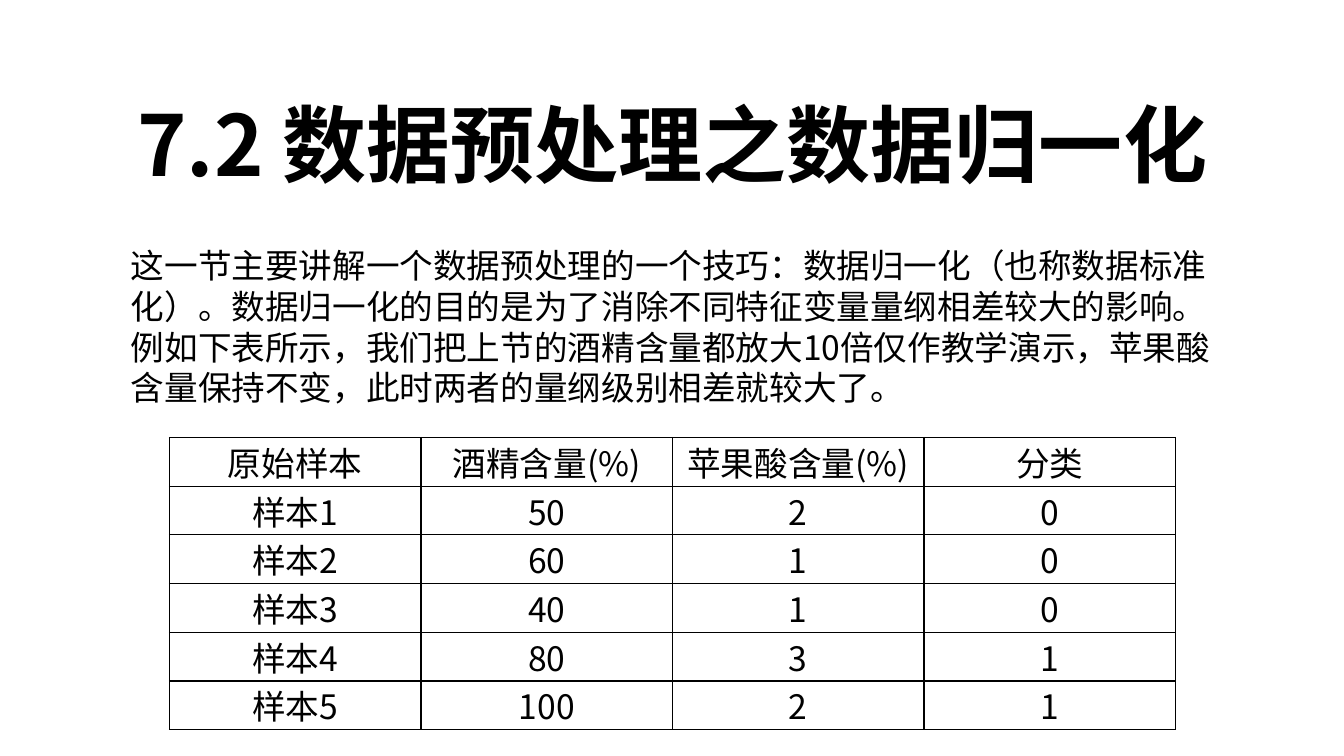
from dataclasses import dataclass

from lxml import etree
from pptx import Presentation
from pptx.dml.color import RGBColor
from pptx.enum import text as t
from pptx.oxml import ns
from pptx.util import Inches, Pt

BLACK = RGBColor(0x00, 0x00, 0x00)
FONT = "Noto Sans CJK SC"
ROWS = [
    ("原始样本", "酒精含量(%)", "苹果酸含量(%)", "分类"),
    ("样本1", "50", "2", "0"),
    ("样本2", "60", "1", "0"),
    ("样本3", "40", "1", "0"),
    ("样本4", "80", "3", "1"),
    ("样本5", "100", "2", "1"),
]
BODY = (
    "这一节主要讲解一个数据预处理的一个技巧：数据归一化（也称数据标准化）。"
    "数据归一化的目的是为了消除不同特征变量量纲相差较大的影响。"
    "例如下表所示，我们把上节的酒精含量都放大10倍仅作教学演示，"
    "苹果酸含量保持不变，此时两者的量纲级别相差就较大了。"
)


@dataclass
class Box:
    left: float
    top: float
    width: float
    height: float

    def place(self) -> list:
        return [Inches(n) for n in (self.left, self.top, self.width, self.height)]


@dataclass
class Style:
    size: int
    pitch: int
    align: t.PP_ALIGN
    bold: bool = False


HEAD = Style(60, 73, t.PP_ALIGN.CENTER, True)
PROSE = Style(24, 29, t.PP_ALIGN.LEFT)
CELL = Style(24, 29, t.PP_ALIGN.CENTER)


def apply(item, values: dict) -> None:
    for name, value in values.items():
        setattr(item, name, value)


def write(frame, words: str, style: Style) -> None:
    para = frame.paragraphs[0]
    apply(para, {"alignment": style.align, "line_spacing": Pt(style.pitch)})
    run = para.add_run()
    run.text = words
    apply(run.font, {"size": Pt(style.size), "bold": style.bold, "name": FONT})
    run.font.color.rgb = BLACK
    east = etree.SubElement(run.font._element, ns.qn("a:ea"))
    east.set("typeface", FONT)


def edge(cell) -> None:
    """Draw a thin line on all four sides of a cell."""
    props = cell._tc.get_or_add_tcPr()
    for spot, side in enumerate(("lnL", "lnR", "lnT", "lnB")):
        line = etree.Element(ns.qn(f"a:{side}"), w=str(Pt(1)))
        fill = etree.SubElement(line, ns.qn("a:solidFill"))
        etree.SubElement(fill, ns.qn("a:srgbClr"), val=str(BLACK))
        props.insert(spot, line)


def add_grid(slide, box: Box) -> None:
    count = len(ROWS)
    table = slide.shapes.add_table(count, len(ROWS[0]), *box.place()).table
    apply(table, {"first_row": False, "horz_banding": False})
    for row, words in zip(table.rows, ROWS):
        row.height = Inches(box.height / count)
        for cell, word in zip(row.cells, words):
            apply(cell, {
                "margin_left": 0, "margin_right": 0,
                "margin_top": Inches(0.08), "margin_bottom": 0,
                "vertical_anchor": t.MSO_ANCHOR.MIDDLE,
            })
            cell.fill.background()
            edge(cell)
            write(cell.text_frame, word, CELL)


def main() -> None:
    deck = Presentation()
    apply(deck, {"slide_width": Inches(13.33), "slide_height": Inches(7.5)})
    slide = deck.slides.add_slide(deck.slide_layouts[5])

    title = slide.shapes.title
    apply(title, dict(zip(("left", "top", "width", "height"),
                          Box(1.07, 0.8, 11.19, 1.11).place())))
    apply(title.text_frame, {
        "word_wrap": False, "vertical_anchor": t.MSO_ANCHOR.TOP,
        "auto_size": t.MSO_AUTO_SIZE.NONE, "margin_top": Inches(0.1),
    })
    write(title.text_frame, "7.2 数据预处理之数据归一化", HEAD)

    body = slide.shapes.add_textbox(*Box(1.2, 2.35, 10.94, 1.72).place())
    apply(body.text_frame, {"word_wrap": True, "margin_top": Inches(0.08)})
    write(body.text_frame, BODY, PROSE)

    add_grid(slide, Box(1.68, 4.34, 9.98, 2.9))
    deck.save("out.pptx")


if __name__ == "__main__":
    main()
